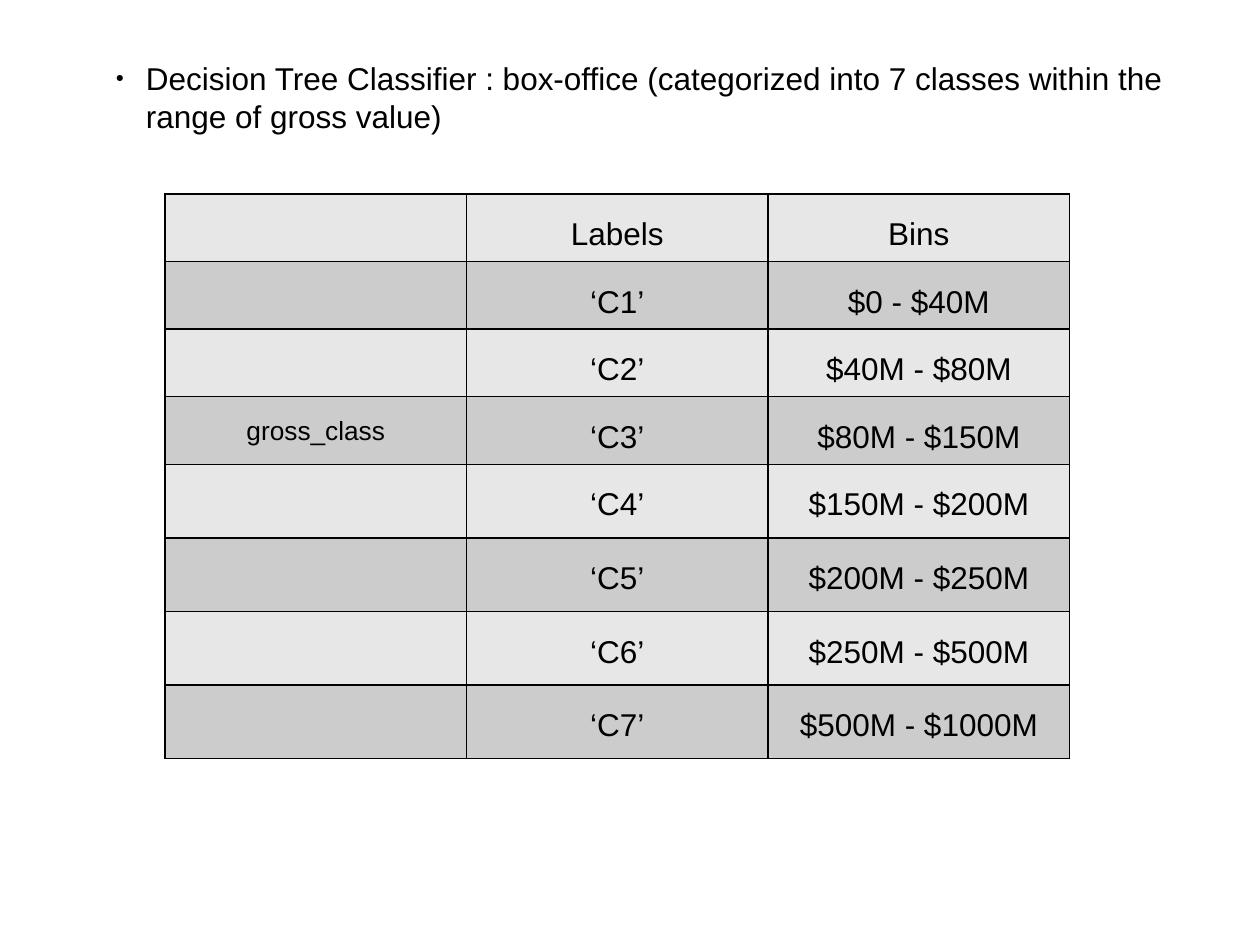
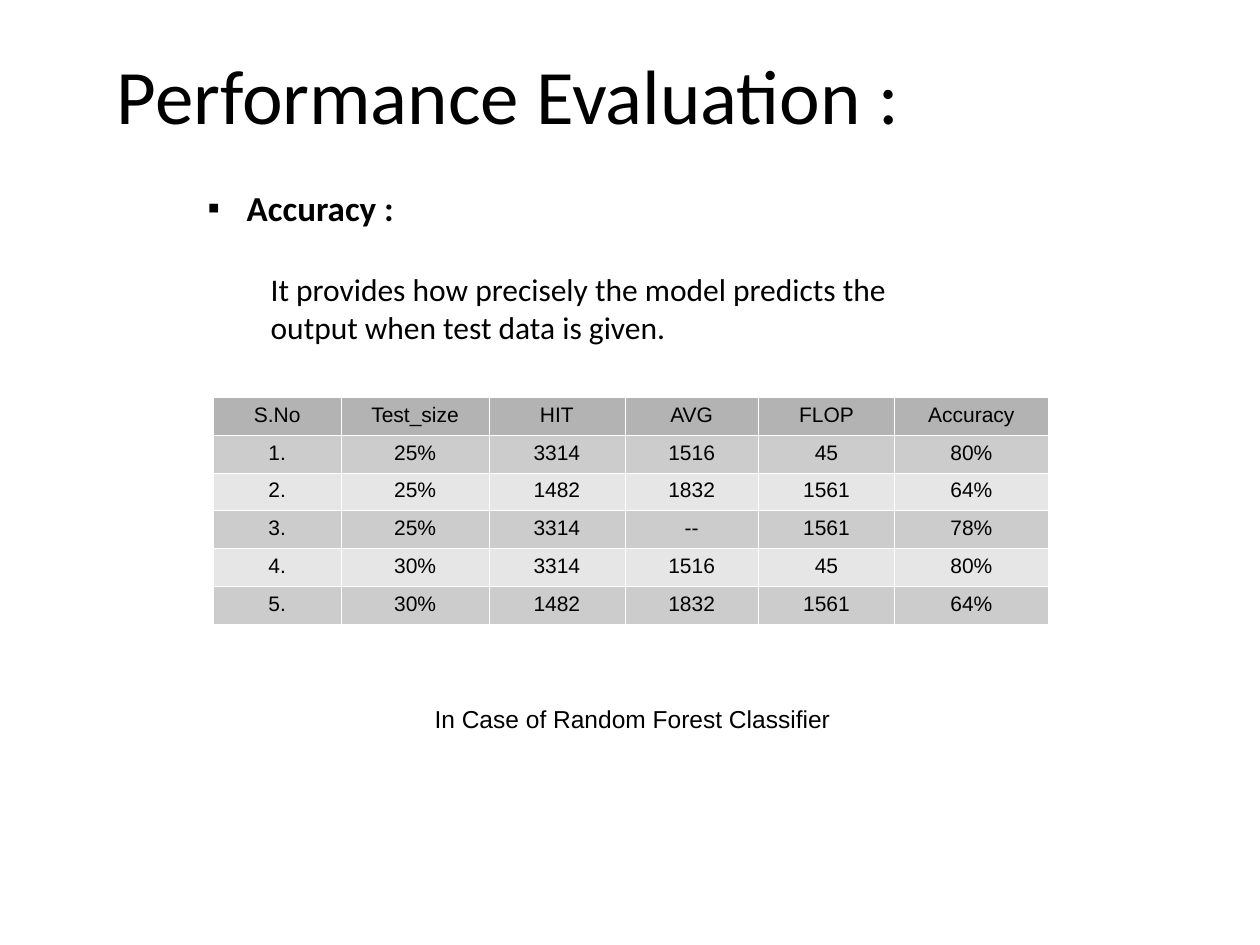
from lxml.etree import SubElement as Sub
from pptx import Presentation
from pptx.dml.color import RGBColor as Rgb
from pptx.enum.text import MSO_ANCHOR as Anchor, PP_ALIGN as Align
from pptx.oxml.ns import qn
from pptx.util import Inches, Pt

WIDE, HIGH = Inches(10), Inches(7.5)
UNIT = WIDE / 100  # the slide is a grid of 100 columns by 75 rows
COLORS = {"ink": "000000", "paper": "FFFFFF", "head": "B3B3B3",
          "dark": "CCCCCC", "light": "E6E6E6", "pale": "E7E7E7"}
SANS, TITLE = "Arial", "Calibri"

BINS = [
    ("", "Labels", "Bins"),
    ("", "‘C1’", "$0 - $40M"),
    ("", "‘C2’", "$40M - $80M"),
    ("gross_class", "‘C3’", "$80M - $150M"),
    ("", "‘C4’", "$150M - $200M"),
    ("", "‘C5’", "$200M - $250M"),
    ("", "‘C6’", "$250M - $500M"),
    ("", "‘C7’", "$500M - $1000M"),
]
SCORES = [
    ("S.No", "Test_size", "HIT", "AVG", "FLOP", "Accuracy"),
    ("1.", "25%", "3314", "1516", "45", "80%"),
    ("2.", "25%", "1482", "1832", "1561", "64%"),
    ("3.", "25%", "3314", "--", "1561", "78%"),
    ("4.", "30%", "3314", "1516", "45", "80%"),
    ("5.", "30%", "1482", "1832", "1561", "64%"),
]


def grid(*cells):
    return [round(cell * UNIT) for cell in cells]


def style(para, size, face=SANS, bold=False, align=Align.LEFT):
    para.alignment = align
    font = para.font
    font.size, font.name, font.bold = Pt(size), face, bold
    font.color.rgb = Rgb.from_string(COLORS["ink"])


def indent(para, left, mark="", share=100):
    """Indent the paragraph; with a mark, hang a bullet in the indent."""
    props = para._p.get_or_add_pPr()
    left = grid(left)[0]
    props.set("marL", str(left))
    props.set("indent", str(-left if mark else 0))
    if mark:
        tint = Sub(props, qn("a:buClr"))
        Sub(tint, qn("a:srgbClr"), val=COLORS["ink"])
        Sub(props, qn("a:buSzPct"), val=str(share * 1000))
        Sub(props, qn("a:buFont"), typeface=SANS)
        Sub(props, qn("a:buChar"), char=mark)


def add_box(slide, place, text, anchor=Anchor.TOP):
    """Add a text box and return its frame and first paragraph."""
    frame = slide.shapes.add_textbox(*grid(*place)).text_frame
    frame.word_wrap = True
    frame.vertical_anchor = anchor
    para = frame.paragraphs[0]
    para.text = text
    return frame, para


def paint(cell, fill, edge, width):
    props = cell._tc.get_or_add_tcPr()
    for side in ("lnL", "lnR", "lnT", "lnB"):
        line = Sub(props, qn(f"a:{side}"), w=str(Pt(width)))
        solid = Sub(line, qn("a:solidFill"))
        Sub(solid, qn("a:srgbClr"), val=COLORS[edge])
    cell.fill.solid()
    cell.fill.fore_color.rgb = Rgb.from_string(COLORS[fill])


def add_grid(slide, left, top, wide, high, rows, fills, edge, width,
             size, space=1.0, pad=0.5, sizes={}):
    """Add a table; sizes maps a cell's text to its own font size."""
    frame = slide.shapes.add_table(len(rows), len(wide),
                                   *grid(left, top, sum(wide), sum(high)))
    table = frame.table
    table.first_row = table.horz_banding = False
    for col, span in zip(table.columns, grid(*wide)):
        col.width = span
    for row, span in zip(table.rows, grid(*high)):
        row.height = span
    for r, (row, fill) in enumerate(zip(rows, fills)):
        for c, text in enumerate(row):
            cell = table.cell(r, c)
            paint(cell, fill, edge, width)
            cell.margin_top = cell.margin_bottom = grid(pad)[0]
            if text:
                para = cell.text_frame.paragraphs[0]
                para.text = text
                para.line_spacing = space
                style(para, sizes.get(text, size), align=Align.CENTER)


def draw_bins(slide):
    _, para = add_box(slide, (8.2, 4.2, 88.3, 12.2),
                      "Decision Tree Classifier : box-office (categorized "
                      "into 7 classes within the range of gross value)")
    indent(para, 2.4, "●", 45)
    style(para, 18)
    add_grid(slide, 13.1, 15.4, [23.93] * 3, [5.2] * 4 + [5.84] * 4, BINS,
             ["pale", "dark"] * 4, "ink", 1, 18, space=1.5, pad=0.43,
             sizes={"gross_class": 15})


def draw_scores(slide):
    _, title = add_box(slide, (8.3, 3, 83.8, 8.8),
                       "Performance Evaluation :", Anchor.MIDDLE)
    style(title, 44, TITLE)

    frame, topic = add_box(slide, (15.5, 14.3, 62.4, 14.6), "Accuracy :")
    indent(topic, 3.1, "▪")
    style(topic, 20, TITLE, bold=True)
    detail = frame.add_paragraph()
    detail.text = ("It provides how precisely the model predicts the "
                   "output when test data is given.")
    detail.level = 1
    indent(detail, 5)
    detail.space_before = Pt(24)
    style(detail, 18, TITLE)

    _, note = add_box(slide, (31.7, 55.4, 37, 3.9),
                      "In Case of Random Forest Classifier")
    style(note, 14, align=Align.CENTER)
    add_grid(slide, 16.9, 31.5, [10.2, 11.7, 10.8, 10.6, 10.8, 12.2],
             [2.9] * 6, SCORES, ["head"] + ["dark", "light"] * 2 + ["dark"],
             "paper", 0.06, 12)


def main():
    deck = Presentation()
    deck.slide_width, deck.slide_height = WIDE, HIGH
    for draw in (draw_bins, draw_scores):
        slide = deck.slides.add_slide(deck.slide_layouts[6])
        back = slide.background.fill
        back.solid()
        back.fore_color.rgb = Rgb.from_string(COLORS["paper"])
        draw(slide)
    deck.save("out.pptx")


if __name__ == "__main__":
    main()
